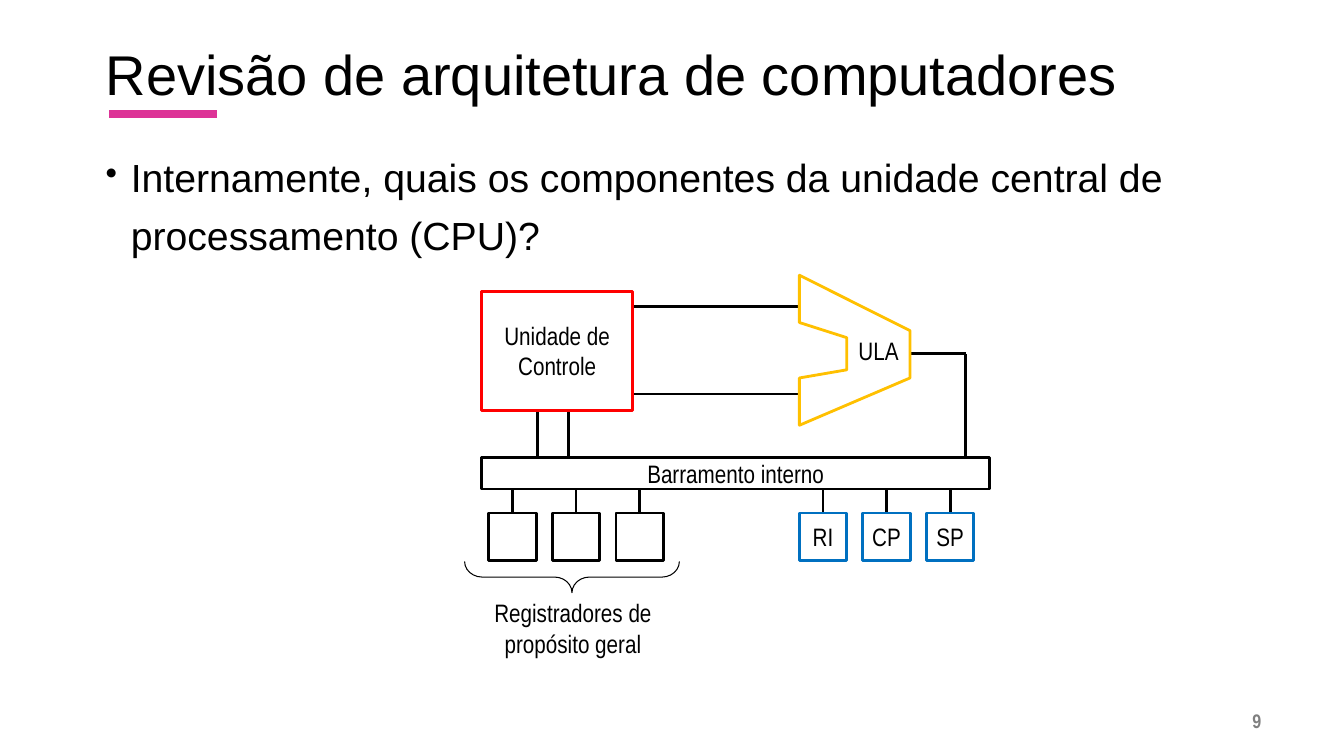
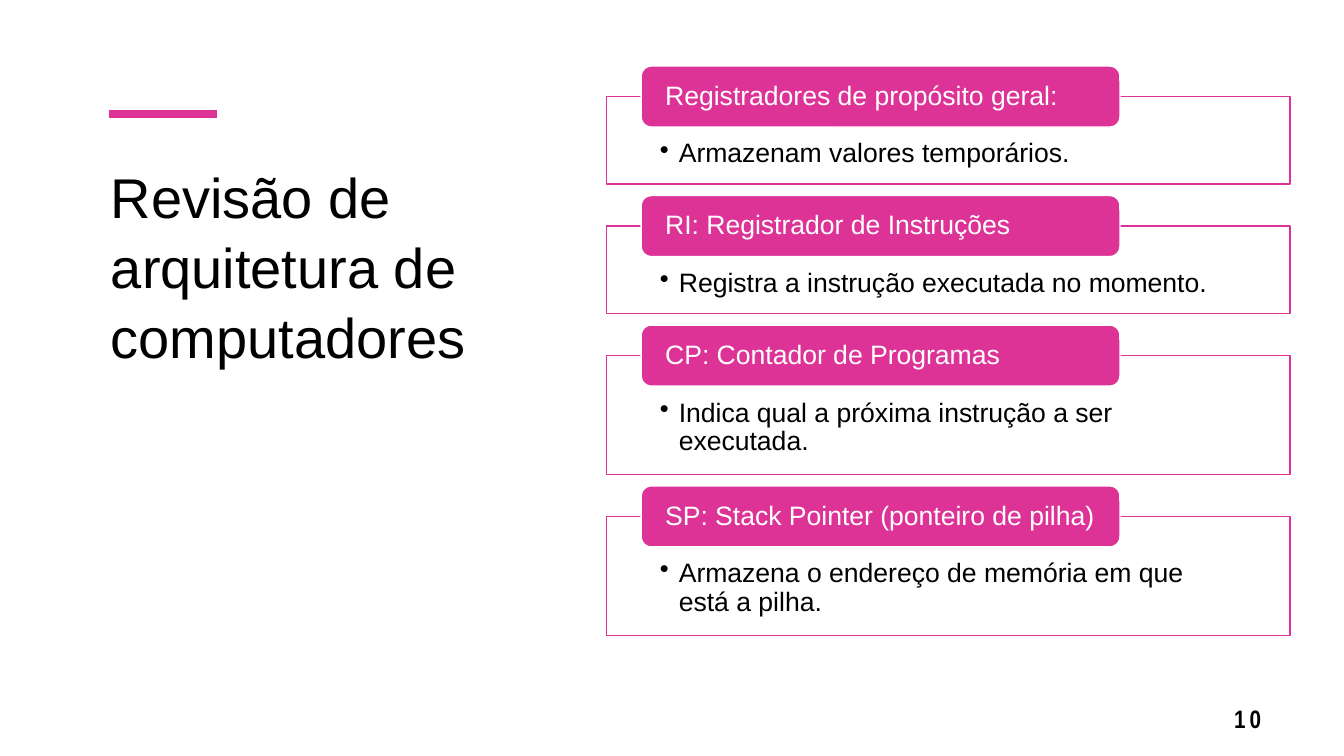
from dataclasses import dataclass
from typing import NamedTuple

from lxml import etree
from pptx import Presentation
from pptx.dml import color
from pptx.enum import shapes, text
from pptx.oxml import ns
from pptx.util import Pt

PINK, BLACK, WHITE, GREY = "DD3397", "000000", "FFFFFF", "7F7F7F"
RED, GOLD, BLUE = "FF0000", "FFC000", "0070C0"
SANS, SLIM = "Arial", "Arial Narrow"
TITLE = "Revisão de arquitetura de computadores"
LEFT, MID, RIGHT = text.PP_ALIGN.LEFT, text.PP_ALIGN.CENTER, text.PP_ALIGN.RIGHT
TOP, CORE = text.MSO_ANCHOR.TOP, text.MSO_ANCHOR.MIDDLE
RECT = shapes.MSO_SHAPE.RECTANGLE
ROUND = shapes.MSO_SHAPE.ROUNDED_RECTANGLE
BRACE = shapes.MSO_SHAPE.RIGHT_BRACE


class Area(NamedTuple):
    x: float
    y: float
    w: float
    h: float


class Wire(NamedTuple):
    x1: float
    y1: float
    x2: float
    y2: float


@dataclass
class Style:
    size: float
    font: str = SANS
    tint: str = BLACK
    bold: bool = False
    align: text.PP_ALIGN = LEFT
    space: float = 1.0
    track: int = 0
    indent: float = 0
    bullet: int = 0


@dataclass
class Card:
    head: str
    body: str
    high: float


LABEL = Style(18, SLIM, align=MID)
HEAD = Style(40, space=1.04)
WIRES = [
    Wire(451.5, 281.5, 571, 281.5),
    Wire(451.5, 219, 571, 219),
    Wire(650, 252.7, 689.8, 252.7),
    Wire(689.8, 252.7, 689.8, 327),
    Wire(383.8, 292.5, 383.8, 327),
    Wire(406.1, 292.5, 406.1, 327),
]
ULA = [(571, 196.6), (650, 236.2), (650, 270), (571, 303.8),
       (571, 270), (604.8, 264.2), (604.8, 241.2), (571, 230.4)]
CARDS = [
    Card("Registradores de propósito geral:", "Armazenam valores temporários.", 62.6),
    Card("RI: Registrador de Instruções",
         "Registra a instrução executada no momento.", 62.6),
    Card("CP: Contador de Programas",
         "Indica qual a próxima instrução a ser executada.", 85),
    Card("SP: Stack Pointer (ponteiro de pilha)",
         "Armazena o endereço de memória em que está a pilha.", 85),
]


def rgb(code: str) -> color.RGBColor:
    return color.RGBColor.from_string(code)


def pts(vals) -> list:
    return [Pt(v) for v in vals]


def write(shape, words: str, style: Style, anchor=TOP, pad=(7.2, 3.6, 7.2, 3.6)) -> None:
    frame = shape.text_frame
    frame.word_wrap = True
    frame.auto_size = text.MSO_AUTO_SIZE.NONE
    frame.vertical_anchor = anchor
    (frame.margin_left, frame.margin_top,
     frame.margin_right, frame.margin_bottom) = pts(pad)
    frame.text = words
    para = frame.paragraphs[0]
    para.alignment = style.align
    para.line_spacing = style.space
    if style.bullet:
        props = para._p.get_or_add_pPr()
        props.set("marL", str(Pt(style.indent)))
        props.set("indent", str(-Pt(style.indent)))
        size = etree.SubElement(props, ns.qn("a:buSzPct"))
        size.set("val", str(style.bullet * 1000))
        etree.SubElement(props, ns.qn("a:buChar")).set("char", "•")
    font = para.font
    font.name, font.size, font.bold = style.font, Pt(style.size), style.bold
    font.color.rgb = rgb(style.tint)
    if style.track:
        para._p.pPr.find(ns.qn("a:defRPr")).set("spc", str(style.track * 100))


def note(slide, area: Area, words: str, style: Style, anchor=TOP) -> None:
    write(slide.shapes.add_textbox(*pts(area)), words, style, anchor)


def paint(shape, edge: str, width: float, fill: str = "") -> None:
    shape.shadow.inherit = False
    if fill:
        shape.fill.solid()
        shape.fill.fore_color.rgb = rgb(fill)
    else:
        shape.fill.background()
    shape.line.color.rgb = rgb(edge)
    shape.line.width = Pt(width)


def block(slide, kind, area: Area, edge: str, width: float = 2, fill: str = ""):
    shape = slide.shapes.add_shape(kind, *pts(area))
    paint(shape, edge, width, fill)
    return shape


def link(slide, wire: Wire, tint: str = BLACK, width: float = 2) -> None:
    line = slide.shapes.add_connector(shapes.MSO_CONNECTOR.STRAIGHT, *pts(wire))
    line.line.color.rgb = rgb(tint)
    line.line.width = Pt(width)
    etree.SubElement(line._element.spPr, ns.qn("a:effectLst"))


def start(deck, area: Area, page: str, style: Style):
    slide = deck.slides.add_slide(deck.slide_layouts[5])
    title = slide.shapes.title
    title.left, title.top, title.width, title.height = pts(area)
    write(title, TITLE, HEAD)
    link(slide, Wire(78, 81.5, 155, 81.5), PINK, 6)
    note(slide, Area(851, 500.4, 57, 28.8), page, style, CORE)
    return slide


def unit(slide, left: float, edge: str, name: str = "") -> None:
    side, top = 33.8, 366.5
    link(slide, Wire(left + side / 2, top, left + side / 2, 349))
    box = block(slide, RECT, Area(left, top, side, side), edge)
    if name:
        write(box, name, LABEL, CORE, (0, 0, 0, 0))


def draw_cpu(deck) -> None:
    slide = start(deck, Area(68.4, 22.7, 757.4, 90), "9",
                  Style(14, SLIM, GREY, True, RIGHT, track=3))
    note(slide, Area(68.4, 98, 856, 96.5),
         "Internamente, quais os componentes da unidade central de processamento (CPU)?",
         Style(28, space=1.24, indent=18, bullet=87))
    for wire in WIRES:
        link(slide, wire)
    ctrl = block(slide, RECT, Area(344, 208, 108, 85), RED, 2.25)
    write(ctrl, "Unidade de Controle", LABEL, CORE)
    pen = slide.shapes.build_freeform(*pts(ULA[0]), scale=1.0)
    pen.add_line_segments([tuple(pts(spot)) for spot in ULA[1:]], close=True)
    paint(pen.convert_to_shape(), GOLD, 2)
    note(slide, Area(604.8, 236.2, 45.4, 28.8), "ULA", LABEL)
    bus = block(slide, RECT, Area(344, 327, 363, 22.3), BLACK)
    write(bus, "Barramento interno", LABEL, CORE, (0, 0, 0, 0))
    for i, name in enumerate(("RI", "CP", "SP")):
        unit(slide, 349.2 + 45.4 * i, BLACK)
        unit(slide, 571 + 45.4 * i, BLUE, name)
    brace = block(slide, BRACE, Area(397.4, 335.5, 22.3, 153.4), BLACK, 0.75)
    brace.rotation = 90
    brace.adjustments[0] = 0.56
    note(slide, Area(332.6, 423.4, 153.4, 50.4),
         "Registradores de propósito geral", LABEL)


def draw_regs(deck) -> None:
    slide = start(deck, Area(72, 110.5, 357, 252.7), "10",
                  Style(18, SLIM, BLACK, True, RIGHT, 0.9, 3))
    top, gap, tall = 69, 29.9, 43.6
    item = Style(19, space=0.9, indent=13.5, bullet=100)
    for card in CARDS:
        box = block(slide, RECT, Area(433.4, top, 488.2, card.high), PINK, 1, WHITE)
        write(box, card.body, item, TOP, (38, 31, 38, 10.8))
        tab = block(slide, ROUND, Area(458, top - tall / 2, 342, tall), WHITE, 1, PINK)
        write(tab, card.head, Style(19, tint=WHITE, space=0.9), CORE, (15, 0, 15, 0))
        top += card.high + gap


def main() -> None:
    deck = Presentation()
    deck.slide_width, deck.slide_height = Pt(960), Pt(540)
    draw_cpu(deck)
    draw_regs(deck)
    deck.save("out.pptx")


if __name__ == "__main__":
    main()
